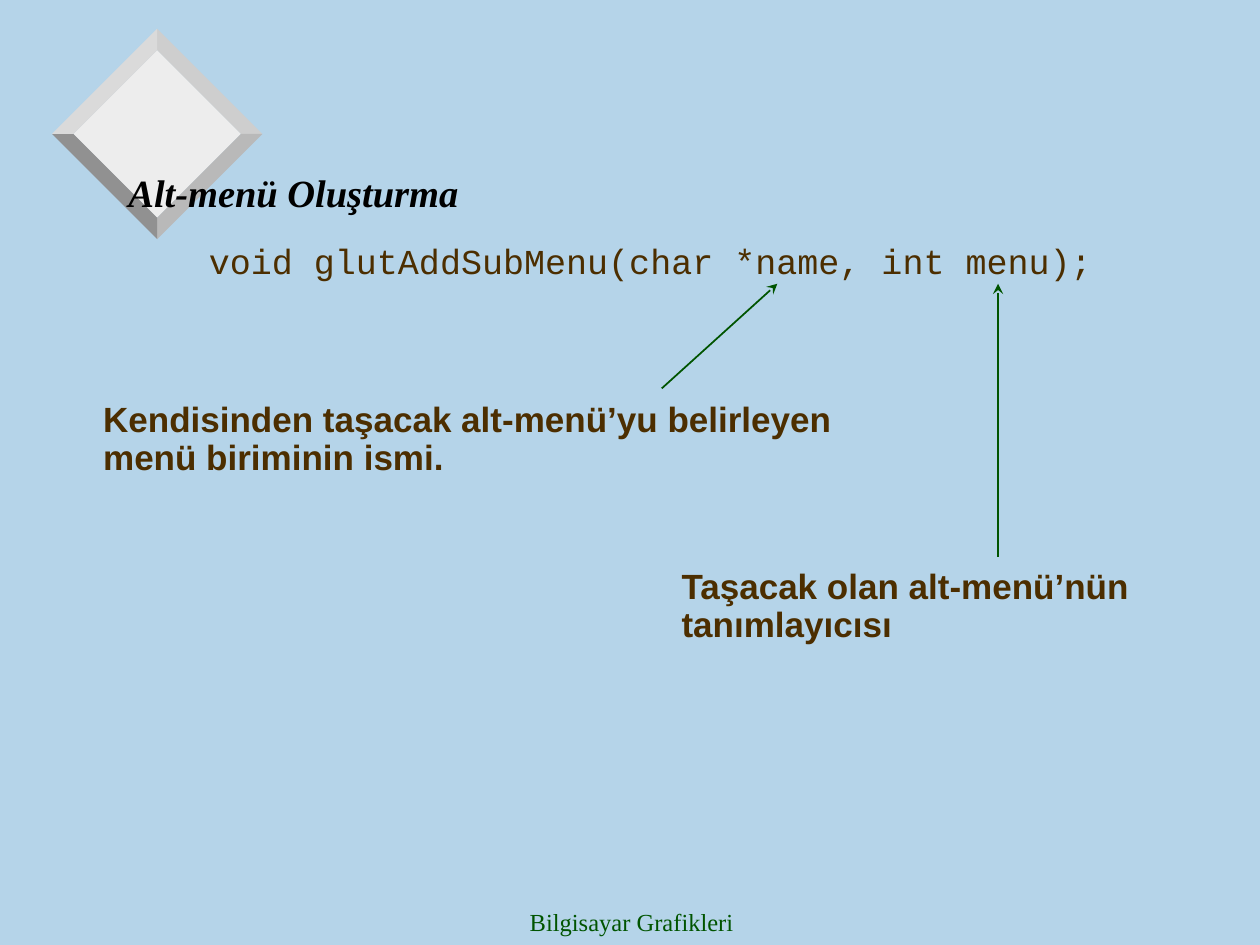
from lxml import etree
from pptx import Presentation
from pptx.dml.color import RGBColor
from pptx.enum.shapes import MSO_CONNECTOR
from pptx.enum.text import MSO_ANCHOR, MSO_AUTO_SIZE, PP_ALIGN
from pptx.oxml.ns import qn
from pptx.util import Cm, Pt

STRAIGHT = MSO_CONNECTOR.STRAIGHT
BOTTOM = MSO_ANCHOR.BOTTOM
FIT_SHAPE, NO_FIT = MSO_AUTO_SIZE.SHAPE_TO_FIT_TEXT, MSO_AUTO_SIZE.NONE
LEFT, CENTER = PP_ALIGN.LEFT, PP_ALIGN.CENTER

THEME = {
    "background": "B5D4E9",
    "accent": "005400",
    "diamond": "EDEDED",
    "facets": ("CECECE", "B9B9B9", "919191", "DADADA"),
    "title": {"font": "Times New Roman", "size": 22, "color": "000000", "bold": True, "italic": True},
    "code": {"font": "Courier New", "size": 20, "color": "4C2E00"},
    "note": {"font": "Arial", "size": 20, "color": "4C2E00", "bold": True},
    "footer": {"font": "Times New Roman", "size": 14, "color": "005400"},
}

TITLE = "Alt-menü Oluşturma"
TITLE_BOX = (2.46, 2.13, 22.94, 3.13)
FOOTER = "Bilgisayar Grafikleri"
FOOTER_BOX = (8.71, 18.16, 8.05, 0.89)
EXPLANATION = [
    ("code", (3.96, 4.8, 18.34, 1.02), ["void glutAddSubMenu(char *name, int menu);"]),
    ("note", (1.83, 7.98, 15.39, 1.78),
     ["Kendisinden taşacak alt-menü’yu belirleyen", "menü biriminin ismi."]),
    ("note", (13.49, 11.35, 9.78, 1.78), ["Taşacak olan alt-menü’nün", "tanımlayıcısı"]),
]
ARROWS = [((13.34, 7.83), (15.67, 5.72)), ((20.12, 11.22), (20.12, 5.72))]
DIAMOND_CENTER = (3.17, 2.7)
OUTER_RADIUS, INNER_RADIUS = 2.12, 1.69


def rgb(color):
    return RGBColor.from_string(color)


def write(frame, lines, style, align=LEFT, spacing=None):
    for index, line in enumerate(lines):
        paragraph = frame.add_paragraph() if index else frame.paragraphs[0]
        paragraph.alignment = align
        paragraph.line_spacing = spacing
        run = paragraph.add_run()
        run.text = line
        font = run.font
        font.name, font.size = style["font"], Pt(style["size"])
        font.color.rgb = rgb(style["color"])
        font.bold = style.get("bold", False)
        font.italic = style.get("italic", False)


def add_text(slide, box, lines, style, wrap, fit, align=LEFT, spacing=None):
    frame = slide.shapes.add_textbox(*map(Cm, box)).text_frame
    frame.word_wrap, frame.auto_size = wrap, fit
    write(frame, lines, style, align, spacing)


def add_polygon(slide, points, color):
    (start_x, start_y), *others = [(Cm(x), Cm(y)) for x, y in points]
    builder = slide.shapes.build_freeform(start_x, start_y)
    builder.add_line_segments(others, close=True)
    polygon = builder.convert_to_shape()
    polygon.shadow.inherit = False
    polygon.fill.solid()
    polygon.fill.fore_color.rgb = rgb(color)
    polygon.line.fill.background()


def diamond_corners(radius):
    x, y = DIAMOND_CENTER
    return [(x, y - radius), (x + radius, y), (x, y + radius), (x - radius, y)]


def add_diamond(slide):
    inner, outer = diamond_corners(INNER_RADIUS), diamond_corners(OUTER_RADIUS)
    add_polygon(slide, inner, THEME["diamond"])
    for side, color in enumerate(THEME["facets"]):
        following = (side + 1) % 4
        add_polygon(slide, [inner[side], outer[side], outer[following], inner[following]], color)


def place_title(slide):
    title = slide.shapes.title
    title.left, title.top, title.width, title.height = map(Cm, TITLE_BOX)
    frame = title.text_frame
    frame.word_wrap, frame.auto_size = True, NO_FIT
    frame.vertical_anchor = BOTTOM
    frame.margin_left = frame.margin_right = Cm(0.13)
    frame.margin_top, frame.margin_bottom = Cm(0.05), Cm(0.92)
    write(frame, [TITLE], THEME["title"])
    title.element.getparent().append(title.element)


def add_arrow(slide, start, end):
    arrow = slide.shapes.add_connector(STRAIGHT, *map(Cm, start + end))
    arrow.line.color.rgb = rgb(THEME["accent"])
    arrow.line.width = Pt(1)
    etree.SubElement(arrow.line._get_or_add_ln(), qn("a:tailEnd"), type="stealth")
    etree.SubElement(arrow.element.spPr, qn("a:effectLst"))


def main():
    deck = Presentation()
    deck.slide_width, deck.slide_height = Cm(25.4), Cm(19.05)
    slide = deck.slides.add_slide(deck.slide_layouts[5])
    slide.background.fill.solid()
    slide.background.fill.fore_color.rgb = rgb(THEME["background"])

    add_diamond(slide)
    add_text(slide, FOOTER_BOX, [FOOTER], THEME["footer"], True, NO_FIT, CENTER)
    place_title(slide)
    for style, box, lines in EXPLANATION:
        add_text(slide, box, lines, THEME[style], False, FIT_SHAPE, spacing=0.9)
    for start, end in ARROWS:
        add_arrow(slide, start, end)
    deck.save("out.pptx")


if __name__ == "__main__":
    main()
